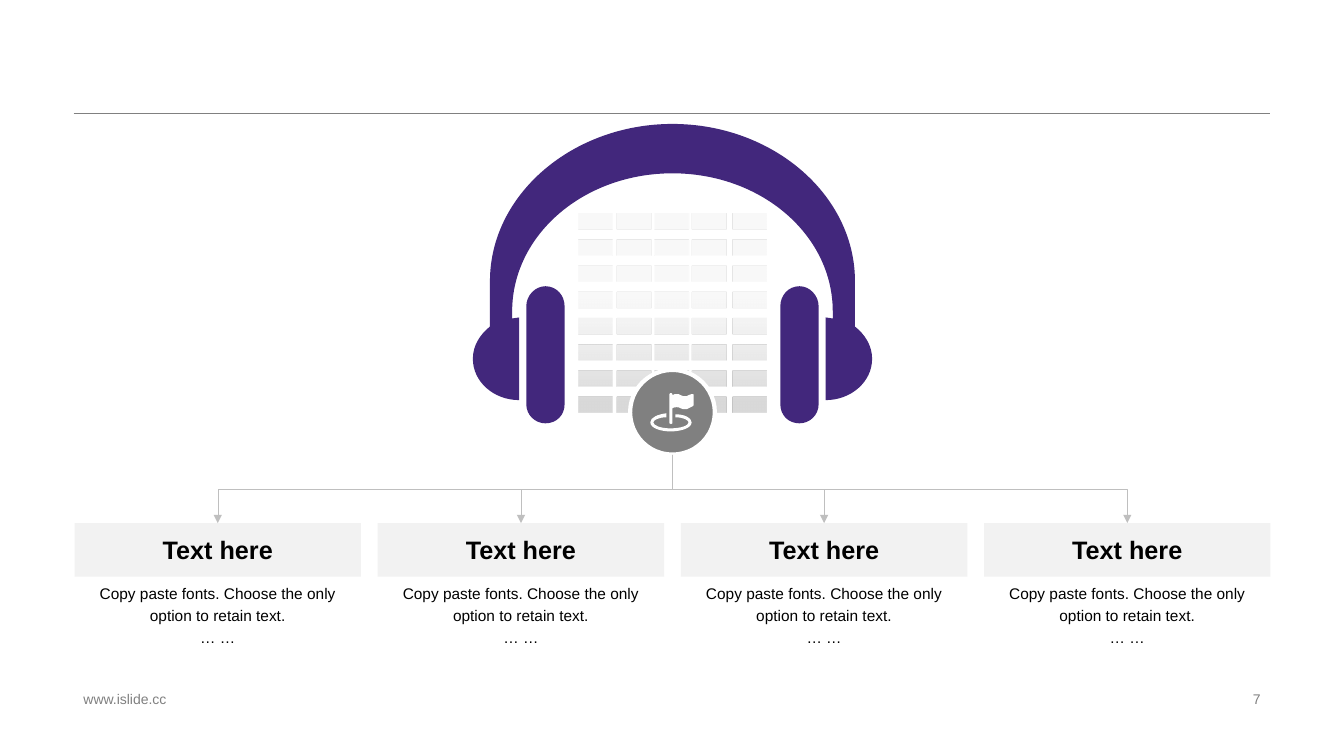
from lxml import etree
from pptx import Presentation
from pptx import util as u
from pptx.dml.color import RGBColor
from pptx.enum import shapes, text
from pptx.oxml import ns

Inches = u.Inches
COLORS = {"purple": "42277C", "gray": "808080", "line": "BFBFBF", "panel": "F2F2F2",
          "tile": "D9D9D9", "white": "FFFFFF", "black": "000000"}
CENTER = 6.67
CARD_LEFT, CARD_STEP, CARD_W, CARD_TOP, CARD_H = 0.74, 3.007, 2.84, 5.19, 0.53
HUB_BOTTOM = 4.51
TILE_COLUMNS = [5.74, 6.12, 6.49, 6.86, 7.26]
BODY = ["Copy paste fonts. Choose the only option to retain text.", "… …"]

# Outlines: a pair is a corner, six numbers are a cubic curve.
HALF_BAND = [(6.67, 1.23), (7.66, 1.23, 8.48, 1.93, 8.48, 2.79), (8.48, 3.24),
             (8.58, 3.32, 8.65, 3.43, 8.65, 3.56), (8.65, 3.79, 8.44, 3.97, 8.19, 3.97),
             (8.19, 3.15), (8.26, 3.16), (8.26, 3.09),
             (8.26, 2.33, 7.55, 1.72, 6.67, 1.72)]
PAD = [(7.93, 2.84), (8.03, 2.84, 8.12, 2.93, 8.12, 3.04), (8.12, 4.01),
       (8.12, 4.12, 8.03, 4.2, 7.93, 4.2), (7.82, 4.2, 7.74, 4.12, 7.74, 4.01),
       (7.74, 3.04), (7.74, 2.93, 7.82, 2.84, 7.93, 2.84)]
RING = [(6.61, 4.1), (6.61, 4.14), (6.53, 4.14, 6.48, 4.17, 6.48, 4.19),
        (6.48, 4.22, 6.55, 4.25, 6.65, 4.25), (6.76, 4.25, 6.83, 4.22, 6.83, 4.19),
        (6.83, 4.17, 6.78, 4.14, 6.7, 4.14), (6.7, 4.11),
        (6.78, 4.11, 6.86, 4.14, 6.86, 4.19), (6.86, 4.25, 6.75, 4.28, 6.65, 4.28),
        (6.56, 4.28, 6.45, 4.25, 6.45, 4.19), (6.45, 4.14, 6.53, 4.11, 6.61, 4.1)]
FLAG = [(6.66, 3.9), (6.66, 3.9, 6.67, 3.9, 6.67, 3.91), (6.67, 3.92),
        (6.68, 3.91, 6.7, 3.91, 6.71, 3.91), (6.73, 3.91, 6.74, 3.91, 6.75, 3.92),
        (6.77, 3.93, 6.78, 3.93, 6.79, 3.93), (6.81, 3.93, 6.82, 3.93, 6.83, 3.92),
        (6.86, 3.91), (6.88, 3.91, 6.88, 3.91, 6.88, 3.92), (6.88, 4.02),
        (6.88, 4.02, 6.88, 4.03, 6.87, 4.03), (6.83, 4.05),
        (6.82, 4.06, 6.81, 4.06, 6.79, 4.06), (6.78, 4.06, 6.77, 4.06, 6.75, 4.05),
        (6.74, 4.04, 6.73, 4.04, 6.71, 4.04), (6.7, 4.04, 6.68, 4.04, 6.67, 4.05),
        (6.67, 4.2), (6.67, 4.21, 6.64, 4.21, 6.64, 4.2), (6.64, 3.91),
        (6.64, 3.9, 6.65, 3.9, 6.66, 3.9)]


def rgb(name):
    return RGBColor.from_string(COLORS[name])


def mirror(outline):
    return [tuple(v if i % 2 else 2 * CENTER - v for i, v in enumerate(seg))
            for seg in outline]


def backwards(outline):
    """Trace an outline from its end to its start."""
    traced = [outline[-1][-2:]]
    for before, seg in zip(outline[-2::-1], outline[:0:-1]):
        traced.append(seg[2:4] + seg[:2] + before[-2:] if len(seg) == 6 else before[-2:])
    return traced


def style(sp, fill, line=None, width=0):
    sp.shadow.inherit = False
    if fill:
        sp.fill.solid()
        sp.fill.fore_color.rgb = rgb(fill)
    if line:
        sp.line.color.rgb = rgb(line)
        sp.line.width = u.Pt(width)
    else:
        sp.line.fill.background()


def bend(sp, outlines):
    """Turn the straight segments of a freeform into the curves of its outlines."""
    segments = [seg for outline in outlines for seg in outline[1:]]
    for node, seg in zip(list(sp._element.iter(ns.qn("a:lnTo"))), segments):
        if len(seg) == 6:
            curve = etree.Element(ns.qn("a:cubicBezTo"))
            for x, y in zip(seg[::2], seg[1::2]):
                etree.SubElement(curve, ns.qn("a:pt"), x=str(Inches(x) - sp.left),
                                 y=str(Inches(y) - sp.top))
            node.getparent().replace(node, curve)


def add_outline(s, outlines, fill=None):
    builder = None
    for outline in outlines:
        first, *rest = [tuple(map(Inches, seg[-2:])) for seg in outline]
        if builder is None:
            builder = s.shapes.build_freeform(*first, scale=1.0)
        else:
            builder.move_to(*first)
        builder.add_line_segments(rest, close=True)
    sp = builder.convert_to_shape()
    bend(sp, outlines)
    style(sp, fill)
    return sp


def add_shape(s, kind, box, fill, line=None, width=0):
    sp = s.shapes.add_shape(kind, *map(Inches, box))
    style(sp, fill, line, width)
    return sp


def write(sp, lines, color, size, align="LEFT", anchor="MIDDLE", bold=False, spacing=1.0):
    tf = sp.text_frame
    tf.word_wrap = True
    tf.vertical_anchor = text.MSO_ANCHOR[anchor]
    for i, line in enumerate(lines):
        p = tf.paragraphs[0] if i == 0 else tf.add_paragraph()
        p.alignment = text.PP_ALIGN[align]
        p.line_spacing = spacing
        r = p.add_run()
        r.text = line
        for key, value in {"name": "Arial", "size": u.Pt(size), "bold": bold}.items():
            setattr(r.font, key, value)
        r.font.color.rgb = rgb(color)


def add_text(s, box, lines, color, size, **layout):
    write(s.shapes.add_textbox(*map(Inches, box)), lines, color, size, **layout)


def add_line(s, kind, start, end, color):
    cn = s.shapes.add_connector(kind, *map(Inches, start + end))
    cn.line.color.rgb = rgb(color)
    cn.line.width = u.Pt(0.25)
    etree.SubElement(cn._element.spPr, ns.qn("a:effectLst"))
    return cn


def add_branch(s, x):
    """Draw an elbow arrow from the hub down to the card centred at x."""
    drop, half = (CARD_TOP - HUB_BOTTOM) / 2, abs(x - CENTER) / 2
    mid_x, mid_y = (x + CENTER) / 2, (CARD_TOP + HUB_BOTTOM) / 2
    side = 1 if x > CENTER else -1
    cn = add_line(s, shapes.MSO_CONNECTOR.ELBOW, (mid_x + side * drop, mid_y - half),
                  (mid_x - side * drop, mid_y + half), "line")
    turn = 270 if side > 0 else 90
    cn._element.spPr.find(ns.qn("a:xfrm")).set("rot", str(turn * 60000))
    etree.SubElement(cn.line._get_or_add_ln(), ns.qn("a:tailEnd"), type="triangle")


def add_tiles(s):
    """Draw the grid of tiles as one outline that fades upwards."""
    w, h = 0.34, 0.16
    tiles = [[(x, y), (x + w, y), (x + w, y + h), (x, y + h)]
             for y in [2.12 + 0.2586 * row for row in range(8)] for x in TILE_COLUMNS]
    sp = add_outline(s, tiles)
    sp.fill.gradient()
    sp.fill.gradient_angle = 90
    for stop, position, color in zip(sp.fill.gradient_stops, (0.05, 0.58), ("tile", "panel")):
        stop.position = position
        stop.color.rgb = rgb(color)
    last = sp._element.spPr.findall(".//" + ns.qn("a:srgbClr"))[-1]
    etree.SubElement(last, ns.qn("a:alpha"), val="47000")


def add_card(s, left):
    card = add_shape(s, shapes.MSO_SHAPE.RECTANGLE, (left, CARD_TOP, CARD_W, CARD_H), "panel")
    write(card, ["Text here"], "black", 18, align="CENTER", bold=True)
    add_text(s, (left, 5.71, CARD_W, 1.01), BODY, "black", 11,
             align="CENTER", anchor="TOP", spacing=1.2)


def main():
    prs = Presentation()
    prs.slide_width, prs.slide_height = Inches(13.33), Inches(7.5)
    s = prs.slides.add_slide(prs.slide_layouts[6])

    add_line(s, shapes.MSO_CONNECTOR.STRAIGHT, (0.73, 1.12), (12.6, 1.12), "gray")
    add_text(s, (0.73, 6.82, 4.53, 0.23), ["www.islide.cc"], "gray", 10)
    add_text(s, (9.42, 6.82, 3.18, 0.23), ["7"], "gray", 10, align="RIGHT")

    band = HALF_BAND + backwards(mirror(HALF_BAND))[1:]
    add_outline(s, [band, PAD, mirror(PAD)], "purple")
    add_tiles(s)
    add_shape(s, shapes.MSO_SHAPE.OVAL, (6.25, 3.67, 0.84, 0.84), "gray", "white", 3)
    add_outline(s, [RING, FLAG], "white")

    lefts = [CARD_LEFT + CARD_STEP * i for i in range(4)]
    for left in lefts:
        add_card(s, left)
    for left in lefts:
        add_branch(s, left + CARD_W / 2)
    prs.save("out.pptx")


if __name__ == "__main__":
    main()
